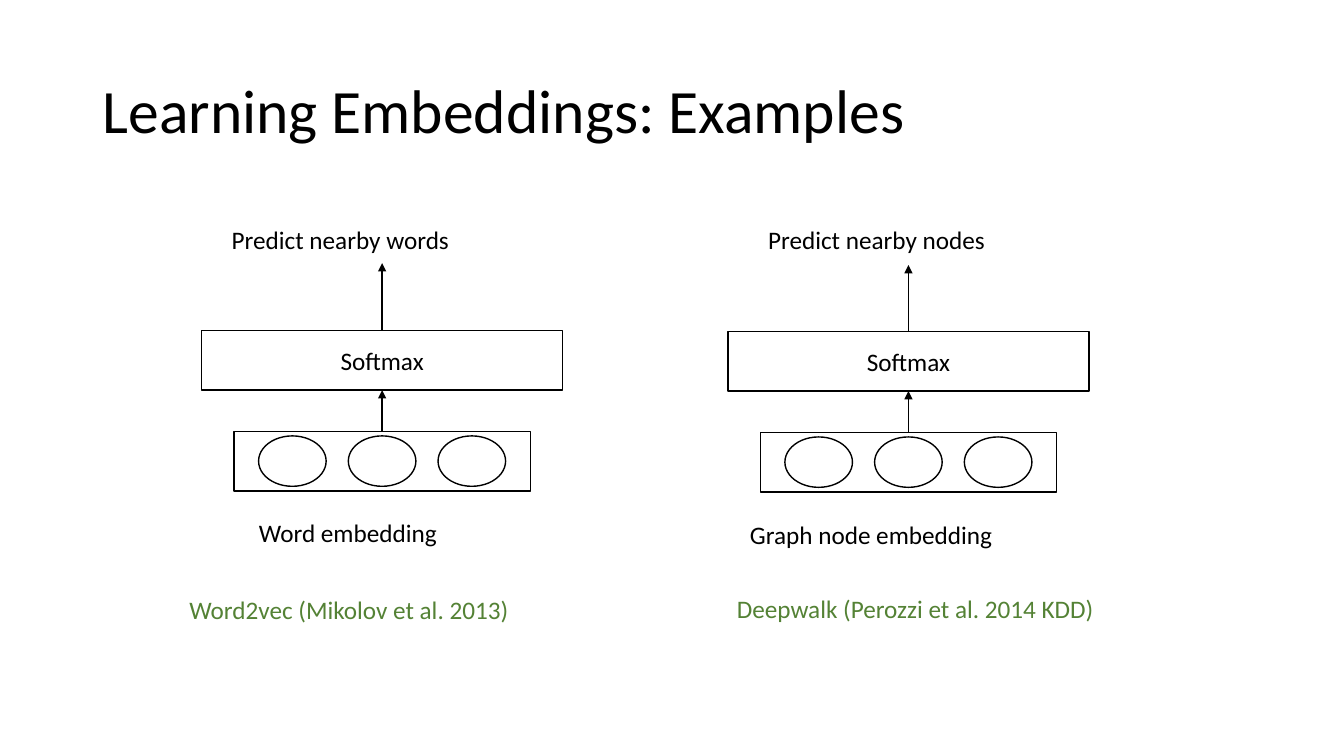
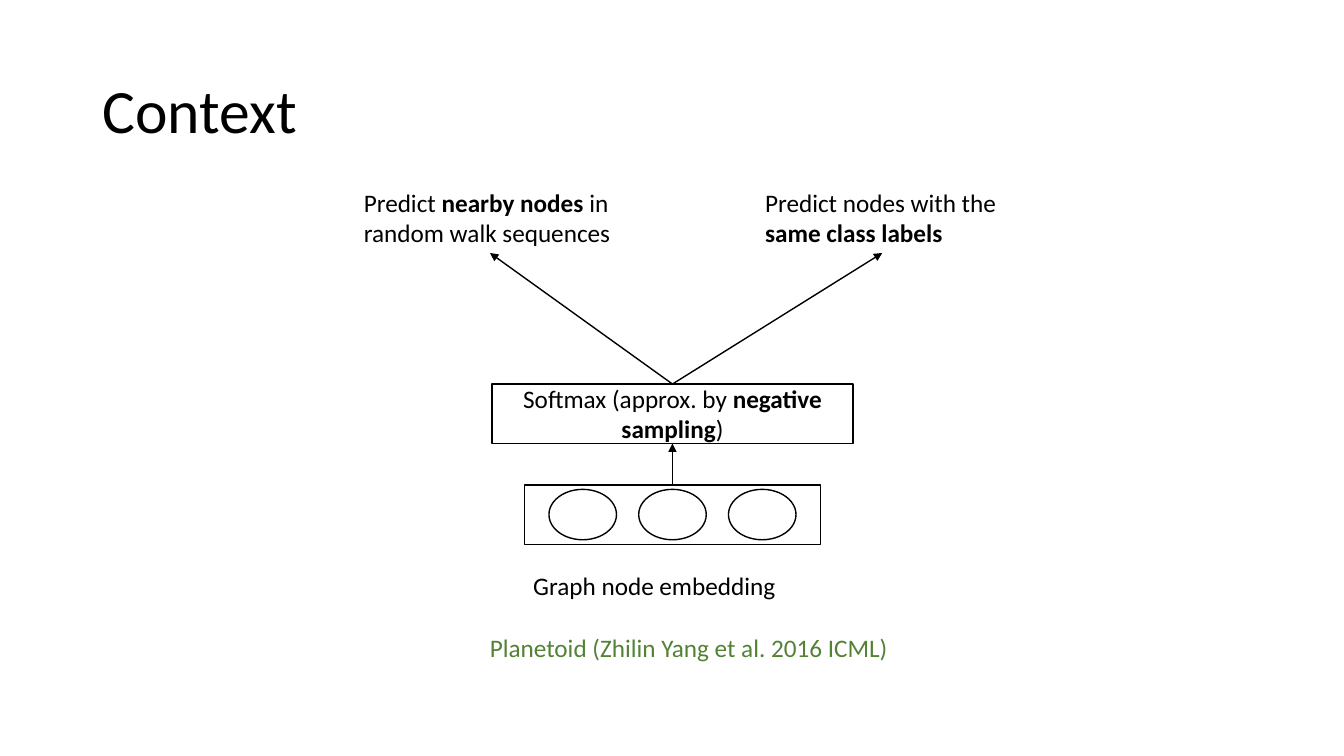
from lxml import etree
from pptx import Presentation
from pptx import util as u
from pptx.dml.color import RGBColor
from pptx.enum import shapes, text
from pptx.oxml.ns import qn

BLACK, WHITE, GREEN = "000000", "FFFFFF", "548235"
FONT = "Calibri"
BOX_H = 0.59
SOFTMAX_W, EMBEDDING_W = 3.58, 2.94
EMBEDDING_DROP = 1.0
UNIT_W, UNIT_H, UNIT_PITCH = 0.67, 0.5, 0.89

deck = Presentation()
deck.slide_width, deck.slide_height = u.Inches(13.33), u.Inches(7.5)


def write(frame, lines, size=18, color=BLACK, align=text.PP_ALIGN.LEFT):
    for i, line in enumerate(lines):
        paragraph = frame.paragraphs[0] if i == 0 else frame.add_paragraph()
        paragraph.alignment = align
        paragraph.font.name = FONT
        paragraph.font.size = u.Pt(size)
        paragraph.font.color.rgb = RGBColor.from_string(color)
        for j, part in enumerate(line.split("**")):
            if part:
                run = paragraph.add_run()
                run.text = part
                if j % 2:
                    run.font.bold = True


def outlined(slide, kind, center, top, width, height):
    shape = slide.shapes.add_shape(
        kind, *map(u.Inches, (center - width / 2, top, width, height)))
    shape.shadow.inherit = False
    shape.fill.solid()
    shape.fill.fore_color.rgb = RGBColor.from_string(WHITE)
    shape.line.color.rgb = RGBColor.from_string(BLACK)
    shape.line.width = u.Pt(1)
    return shape


content = [
    ("Learning Embeddings: Examples",
     [(3.79, 3.28, "Softmax", [(3.79, 2.61)]),
      (9.01, 3.29, "Softmax", [(9.01, 2.63)])],
     [(2.2, 2.18, 2.38, BLACK, ["Predict nearby words"]),
      (2.47, 5.08, 1.99, BLACK, ["Word embedding"]),
      (7.52, 2.18, 2.38, BLACK, ["Predict nearby nodes"]),
      (7.34, 5.1, 2.64, BLACK, ["Graph node embedding"]),
      (1.78, 5.85, 3.4, GREEN, ["Word2vec (Mikolov et al. 2013)"]),
      (7.21, 5.84, 3.78, GREEN, ["Deepwalk (Perozzi et al. 2014 KDD)"])]),
    ("Context",
     [(6.67, 3.81, "Softmax (approx. by **negative sampling**)",
       [(4.86, 2.51), (8.75, 2.51)])],
     [(3.51, 1.81, 2.71, BLACK,
       ["Predict **nearby nodes **in ", "random walk sequences"]),
      (7.49, 1.81, 2.52, BLACK,
       ["Predict nodes with the", "**same class labels**"]),
      (5.19, 5.61, 2.64, BLACK, ["Graph node embedding"]),
      (4.76, 6.22, 4.2, GREEN, ["Planetoid (Zhilin Yang et al. 2016 ICML)"])]),
]

for heading, networks, captions in content:
    slide = deck.slides.add_slide(deck.slide_layouts[6])
    title = slide.shapes.add_textbox(
        *map(u.Inches, (0.92, 0.4, 11.5, 1.45))).text_frame
    title.word_wrap = True
    title.vertical_anchor = text.MSO_ANCHOR.MIDDLE
    write(title, [heading], 44)
    title.paragraphs[0].line_spacing = 0.9

    for center, top, label, targets in networks:
        process = shapes.MSO_SHAPE.FLOWCHART_PROCESS
        embedding_top = top + EMBEDDING_DROP
        outlined(slide, process, center, embedding_top, EMBEDDING_W, BOX_H)
        softmax = outlined(slide, process, center, top, SOFTMAX_W, BOX_H).text_frame
        softmax.word_wrap = True
        softmax.vertical_anchor = text.MSO_ANCHOR.MIDDLE
        write(softmax, [label], align=text.PP_ALIGN.CENTER)
        for step in (-1, 0, 1):
            outlined(slide, shapes.MSO_SHAPE.FLOWCHART_CONNECTOR,
                     center + step * UNIT_PITCH,
                     embedding_top + (BOX_H - UNIT_H) / 2, UNIT_W, UNIT_H)

        arrows = [(center, embedding_top, center, top + BOX_H)]
        arrows += [(center, top, *target) for target in targets]
        for ends in arrows:
            arrow = slide.shapes.add_connector(
                shapes.MSO_CONNECTOR.STRAIGHT, *map(u.Inches, ends))
            arrow.line.color.rgb = RGBColor.from_string(BLACK)
            arrow.line.width = u.Pt(1)
            etree.SubElement(arrow.line._get_or_add_ln(),
                             qn("a:tailEnd"), type="triangle")
            etree.SubElement(arrow._element.spPr, qn("a:effectLst"))

    for left, top, width, color, lines in captions:
        caption = slide.shapes.add_textbox(
            *map(u.Inches, (left, top, width, 0.1 + 0.3 * len(lines)))).text_frame
        caption.word_wrap = False
        caption.auto_size = text.MSO_AUTO_SIZE.SHAPE_TO_FIT_TEXT
        write(caption, lines, color=color)

deck.save("out.pptx")
